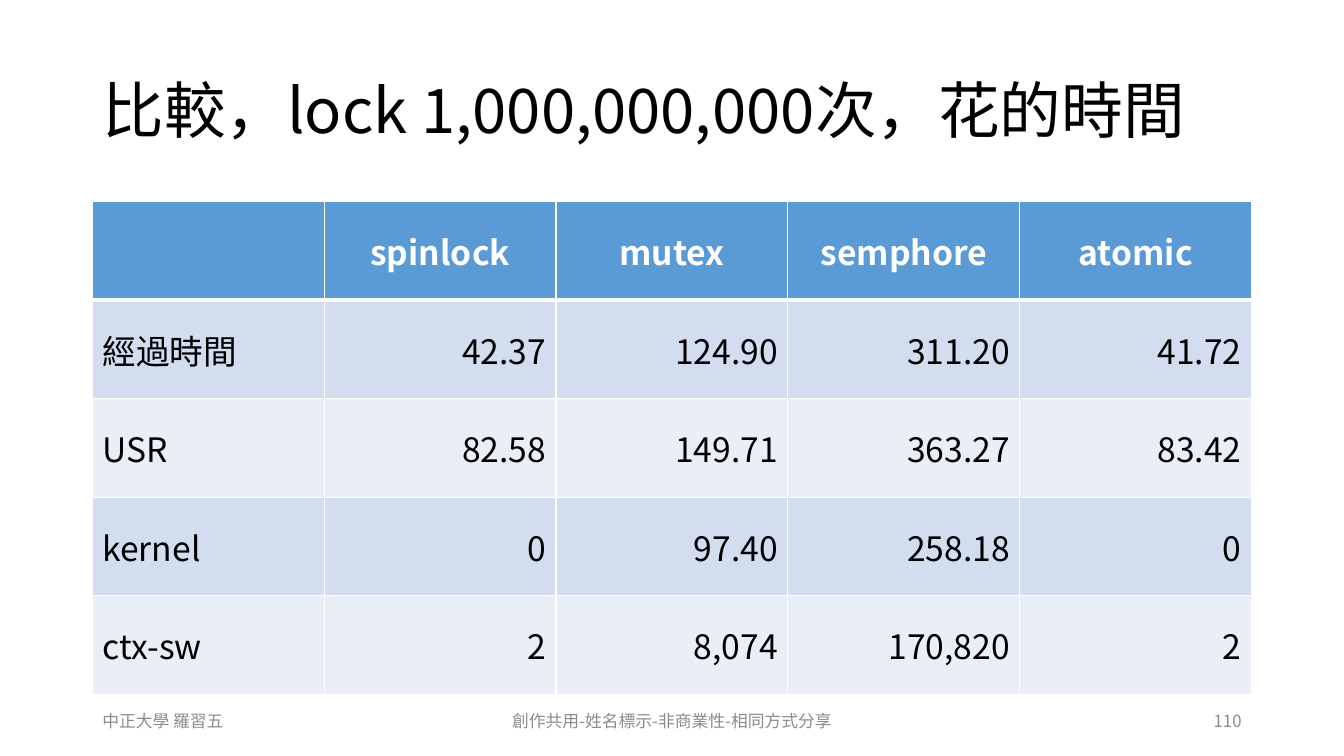
from dataclasses import dataclass

import lxml.etree
import pptx
import pptx.dml.color
import pptx.enum.text
import pptx.oxml.ns
import pptx.slide
import pptx.table
import pptx.text.text
import pptx.util

Pt = pptx.util.Pt
RGBColor = pptx.dml.color.RGBColor
ALIGN = pptx.enum.text.PP_ALIGN
qn = pptx.oxml.ns.qn

FONT = "Noto Sans CJK TC"
BLACK = RGBColor(0x00, 0x00, 0x00)
WHITE = RGBColor(0xFF, 0xFF, 0xFF)
GRAY = RGBColor(0x8C, 0x8C, 0x8C)
BLUE = RGBColor(0x5B, 0x9B, 0xD5)
BANDS = (RGBColor(0xD2, 0xDE, 0xEF), RGBColor(0xEA, 0xEF, 0xF7))

LEFT, WIDTH = 66, 828
ROWS = (
    ("", "spinlock", "mutex", "semphore", "atomic"),
    ("經過時間", "42.37", "124.90", "311.20", "41.72"),
    ("USR", "82.58", "149.71", "363.27", "83.42"),
    ("kernel", "0", "97.40", "258.18", "0"),
    ("ctx-sw", "2", "8,074", "170,820", "2"),
)


@dataclass
class Style:
    size: float
    color: RGBColor
    align: ALIGN = ALIGN.LEFT
    bold: bool = False


@dataclass
class Note:
    text: str
    left: float
    width: float
    align: ALIGN


NOTES = (
    Note("中正大學 羅習五", LEFT, 216, ALIGN.LEFT),
    Note("創作共用-姓名標示-非商業性-相同方式分享", 318, 324, ALIGN.CENTER),
    Note("110", 678, 216, ALIGN.RIGHT),
)


def write(frame: pptx.text.text.TextFrame, text: str, style: Style) -> None:
    frame.text = text
    para = frame.paragraphs[0]
    para.alignment = style.align
    for run in para.runs:
        run.font.size = Pt(style.size)
        run.font.bold = style.bold
        run.font.color.rgb = style.color
        run.font.name = FONT
        asian = lxml.etree.SubElement(run._r.get_or_add_rPr(), qn("a:ea"))
        asian.set("typeface", FONT)


def edge(cell: pptx.table._Cell, top: float, bottom: float) -> None:
    """Draw white borders; call before the fill is set."""
    props = cell._tc.get_or_add_tcPr()
    for side, width in (("L", 1), ("R", 1), ("T", top), ("B", bottom)):
        line = lxml.etree.SubElement(props, qn(f"a:ln{side}"), w=str(Pt(width)))
        fill = lxml.etree.SubElement(line, qn("a:solidFill"))
        lxml.etree.SubElement(fill, qn("a:srgbClr"), val=str(WHITE))


def add_title(slide: pptx.slide.Slide) -> None:
    title = slide.shapes.title
    title.left, title.top = Pt(LEFT), Pt(28.8)
    title.width, title.height = Pt(WIDTH), Pt(104.4)
    frame = title.text_frame
    write(frame, "比較，lock 1,000,000,000次，花的時間", Style(44, BLACK))
    frame.auto_size = pptx.enum.text.MSO_AUTO_SIZE.NONE
    frame.vertical_anchor = pptx.enum.text.MSO_ANCHOR.MIDDLE
    frame.paragraphs[0].line_spacing = 0.9


def add_times(slide: pptx.slide.Slide) -> None:
    table = slide.shapes.add_table(
        len(ROWS), len(ROWS[0]), Pt(LEFT), Pt(144), Pt(WIDTH), Pt(352)
    ).table
    for i, row in enumerate(ROWS):
        for j, text in enumerate(row):
            cell = table.cell(i, j)
            edge(cell, 3 if i == 1 else 1, 3 if i == 0 else 1)
            cell.fill.solid()
            cell.fill.fore_color.rgb = BANDS[(i - 1) % 2] if i else BLUE
            cell.vertical_anchor = pptx.enum.text.MSO_ANCHOR.MIDDLE
            if i == 0:
                style = Style(24, WHITE, ALIGN.CENTER, True)
            else:
                style = Style(24, BLACK, ALIGN.RIGHT if j else ALIGN.LEFT)
            write(cell.text_frame, text, style)


def add_note(slide: pptx.slide.Slide, note: Note) -> None:
    box = slide.shapes.add_textbox(
        Pt(note.left), Pt(500.4), Pt(note.width), Pt(28.8)
    )
    frame = box.text_frame
    frame.word_wrap = True
    frame.vertical_anchor = pptx.enum.text.MSO_ANCHOR.MIDDLE
    write(frame, note.text, Style(12, GRAY, note.align))


def main() -> None:
    deck = pptx.Presentation()
    deck.slide_width, deck.slide_height = Pt(960), Pt(540)
    slide = deck.slides.add_slide(deck.slide_layouts.get_by_name("Title Only"))
    add_title(slide)
    add_times(slide)
    for note in NOTES:
        add_note(slide, note)
    deck.save("out.pptx")


if __name__ == "__main__":
    main()
